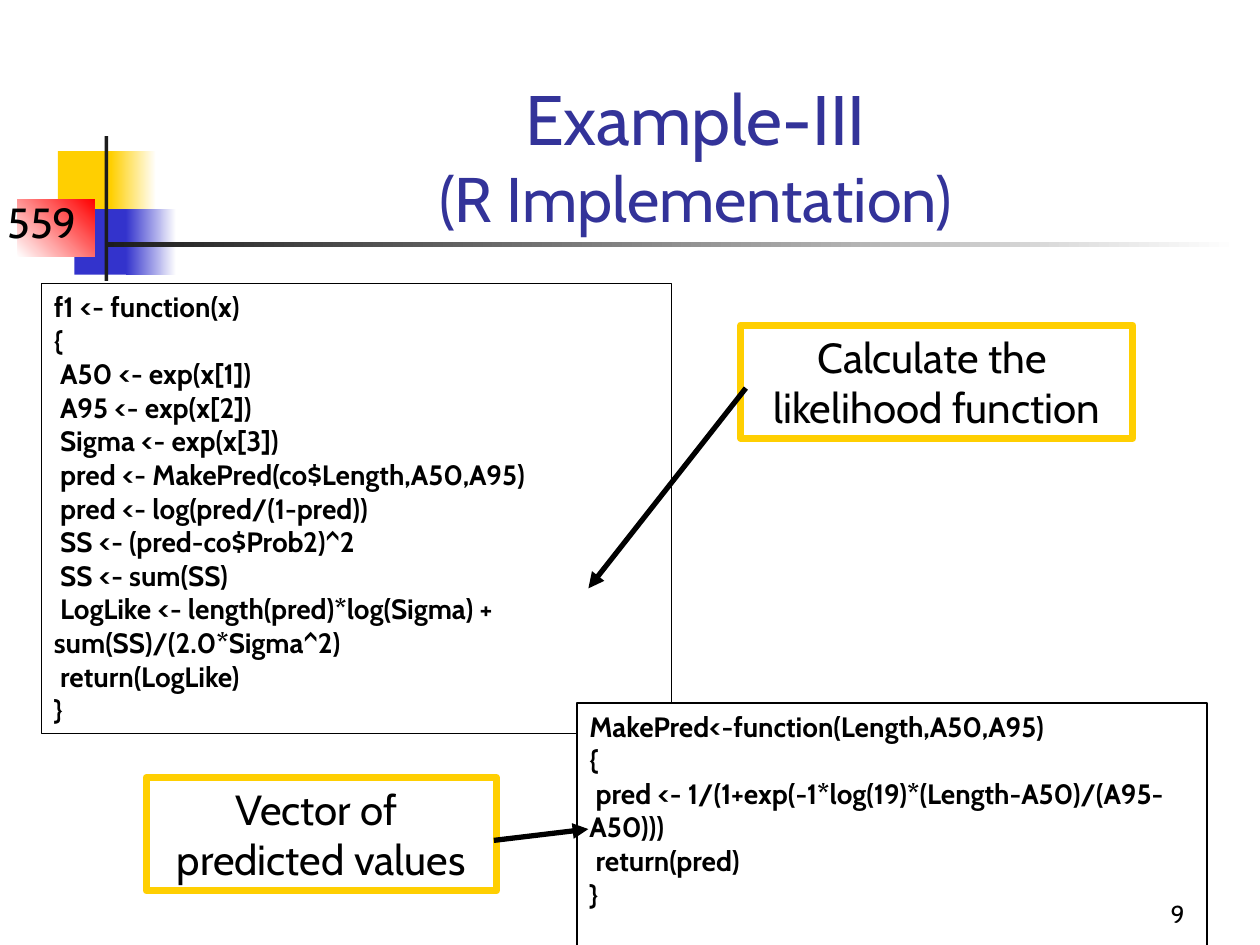
from lxml import etree
from pptx import Presentation
from pptx.dml.color import RGBColor
from pptx.enum.shapes import MSO_CONNECTOR, MSO_SHAPE
from pptx.enum.text import MSO_ANCHOR, PP_ALIGN
from pptx.oxml.ns import qn
from pptx.util import Inches, Pt

RECTANGLE = MSO_SHAPE.RECTANGLE
STRAIGHT = MSO_CONNECTOR.STRAIGHT
TOP, BOTTOM = MSO_ANCHOR.TOP, MSO_ANCHOR.BOTTOM
LEFT, CENTER, RIGHT = PP_ALIGN.LEFT, PP_ALIGN.CENTER, PP_ALIGN.RIGHT

BLACK, WHITE, CHARCOAL = "000000", "FFFFFF", "1C1C1C"
YELLOW, BLUE, RED, NAVY = "FFCF01", "3333CC", "FF0000", "333399"


def color(value):
    return RGBColor.from_string(value)


class SlideBuilder:
    font = "Cabin"

    def __init__(self, slide):
        self.slide = slide

    def style(self, paragraph, size, ink=BLACK, bold=False, align=LEFT):
        paragraph.alignment = align
        paragraph.font.name = self.font
        paragraph.font.size = Pt(size)
        paragraph.font.bold = bold
        paragraph.font.color.rgb = color(ink)

    def set_text(self, shape, lines, size, bold=False, align=LEFT, anchor=TOP, wrap=True):
        frame = shape.text_frame
        frame.word_wrap = wrap
        frame.vertical_anchor = anchor
        frame.text = "\n".join(lines)
        for paragraph in frame.paragraphs:
            self.style(paragraph, size, bold=bold, align=align)

    def title(self, box, main, subtitle):
        shape = self.slide.shapes.title
        shape.left, shape.top, shape.width, shape.height = map(Inches, box)
        shape.text_frame.vertical_anchor = BOTTOM
        paragraph = shape.text_frame.paragraphs[0]
        self.style(paragraph, 40, NAVY, align=CENTER)
        paragraph.add_run().text = main
        paragraph.add_line_break()
        run = paragraph.add_run()
        run.text = subtitle
        run.font.size = Pt(36)

    def rectangle(self, box, fill=None, line=None, line_width=0.75):
        shape = self.slide.shapes.add_shape(RECTANGLE, *map(Inches, box))
        shape.shadow.inherit = False
        if fill:
            shape.fill.solid()
            shape.fill.fore_color.rgb = color(fill)
        else:
            shape.fill.background()
        if line:
            shape.line.color.rgb = color(line)
            shape.line.width = Pt(line_width)
        else:
            shape.line.fill.background()
        return shape

    def gradient(self, box, start, end, angle=0):
        fill = self.rectangle(box).fill
        fill.gradient()
        fill.gradient_angle = angle
        for stop, value in zip(fill.gradient_stops, (start, end)):
            stop.color.rgb = color(value)

    def label(self, box, text, size, align, anchor=TOP):
        shape = self.slide.shapes.add_textbox(*map(Inches, box))
        self.set_text(shape, [text], size, align=align, anchor=anchor)

    def code(self, box, lines, fill=None):
        shape = self.rectangle(box, fill, BLACK)
        self.set_text(shape, lines, 16, bold=True)

    def callout(self, box, lines):
        shape = self.rectangle(box, line=YELLOW, line_width=4)
        self.set_text(shape, lines, 24, align=CENTER, wrap=False)

    def arrow(self, start, end):
        connector = self.slide.shapes.add_connector(STRAIGHT, *map(Inches, start + end))
        connector.line.color.rgb = color(BLACK)
        connector.line.width = Pt(3)
        properties = connector._element.spPr
        etree.SubElement(properties.find(qn("a:ln")), qn("a:tailEnd"), type="triangle")
        etree.SubElement(properties, qn("a:effectLst"))


presentation = Presentation()
presentation.slide_width = Inches(10)
presentation.slide_height = Inches(7.5)
builder = SlideBuilder(presentation.slides.add_slide(presentation.slide_layouts[5]))

# Corner ornament and rule
builder.rectangle((0.46, 1.2, 0.48, 0.52), YELLOW)
builder.gradient((0.88, 1.2, 0.36, 0.52), YELLOW, WHITE)
builder.rectangle((0.59, 1.66, 0.46, 0.52), BLUE)
builder.gradient((1, 1.66, 0.4, 0.52), BLUE, WHITE)
builder.gradient((0.14, 1.58, 0.61, 0.46), WHITE, RED, angle=45)
builder.rectangle((0.83, 1.08, 0.03, 1.15), CHARCOAL)
builder.gradient((0.83, 1.92, 9, 0.04), CHARCOAL, WHITE)
builder.label((-0.04, 1.51, 0.75, 0.9), "559", 24, CENTER)

# Title
builder.title((1.26, 0.67, 8.52, 1.25), "Example-III", "(R Implementation)")

# Code listings
builder.code((0.33, 2.25, 5, 3.57), [
    "f1 <- function(x)",
    "{",
    " A50 <- exp(x[1])",
    " A95 <- exp(x[2])",
    " Sigma <- exp(x[3])",
    " pred <- MakePred(co$Length,A50,A95)",
    " pred <- log(pred/(1-pred))",
    " SS <- (pred-co$Prob2)^2",
    " SS <- sum(SS)",
    " LogLike <- length(pred)*log(Sigma) + sum(SS)/(2.0*Sigma^2)",
    " return(LogLike)",
    "}",
])
builder.code((4.58, 5.58, 5, 1.97), [
    "MakePred<-function(Length,A50,A95)",
    "{",
    " pred <- 1/(1+exp(-1*log(19)*(Length-A50)/(A95-A50)))",
    " return(pred)",
    "}",
], WHITE)

# Callouts with arrows
builder.callout((1.16, 6.17, 2.78, 0.9), ["Vector of ", "predicted values"])
builder.arrow((3.92, 6.67), (4.67, 6.58))
builder.callout((5.88, 2.58, 3.11, 0.9), ["Calculate the ", "likelihood function"])
builder.arrow((5.92, 3.08), (4.67, 4.67))

# Page number
builder.label((7.42, 6.92, 2.08, 0.5), "9", 14, RIGHT, BOTTOM)

presentation.save("out.pptx")
